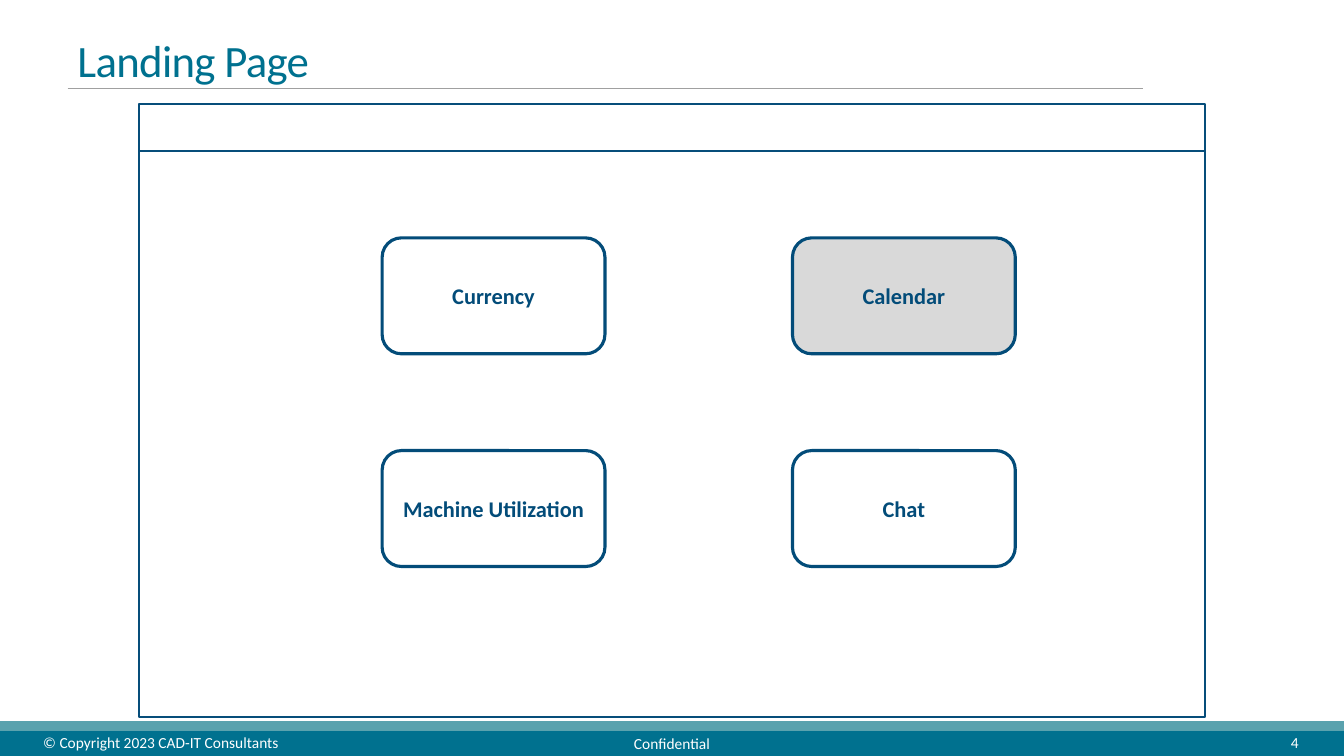
"""Build the landing page wireframe slide."""
from lxml import etree
from pptx import Presentation
from pptx.dml.color import RGBColor
from pptx.enum.shapes import MSO_CONNECTOR, MSO_SHAPE
from pptx.enum.text import MSO_ANCHOR, PP_ALIGN
from pptx.oxml.ns import qn
from pptx.util import Inches, Pt

RECTANGLE = MSO_SHAPE.RECTANGLE
ROUNDED = MSO_SHAPE.ROUNDED_RECTANGLE
STRAIGHT = MSO_CONNECTOR.STRAIGHT
MIDDLE = MSO_ANCHOR.MIDDLE
LEFT, CENTER, RIGHT = PP_ALIGN.LEFT, PP_ALIGN.CENTER, PP_ALIGN.RIGHT

FONT = "Calibri"
WIDTH, HEIGHT = 13.33, 7.5
WHITE, GREY, RULE = "FFFFFF", "D9D9D9", "A0A0A0"
TEAL, LIGHT_TEAL = "00718F", "5AA2AE"
NAVY, TILE_NAVY = "064D7A", "034C79"

WINDOW_LEFT, WINDOW_WIDTH = 1.38, 10.57
TILE_LEFT, TILE_TOP = 3.79, 2.36
TILE_WIDTH, TILE_HEIGHT = 2.21, 1.15
COLUMN_STEP, ROW_STEP = 4.07, 2.11
TILES = [
    [("Currency", WHITE), ("Calendar", GREY)],
    [("Machine Utilization", WHITE), ("Chat", WHITE)],
]


def color(code):
    """Turn a hex string into a colour."""
    return RGBColor.from_string(code)


def write(box, text, size, ink, align=LEFT, bold=False):
    """Put one vertically centred line of text in a box."""
    frame = box.text_frame
    frame.word_wrap = True
    frame.vertical_anchor = MIDDLE
    para = frame.paragraphs[0]
    para.text = text
    para.alignment = align
    para.font.name = FONT
    para.font.size = Pt(size)
    para.font.bold = bold
    para.font.color.rgb = color(ink)
    return para


def add_panel(page, place, fill, line, weight=1.25, kind=RECTANGLE):
    """Draw a filled and outlined shape."""
    panel = page.shapes.add_shape(kind, *map(Inches, place))
    panel.shadow.inherit = False
    panel.fill.solid()
    panel.fill.fore_color.rgb = color(fill)
    panel.line.color.rgb = color(line)
    panel.line.width = Pt(weight)
    return panel


def add_label(page, place, text, size, ink, align=LEFT):
    """Add a text box holding one line."""
    box = page.shapes.add_textbox(*map(Inches, place))
    return write(box, text, size, ink, align)


def add_rule(page, left, right, top):
    """Draw the thin line below the title."""
    ends = map(Inches, (left, top, right, top))
    rule = page.shapes.add_connector(STRAIGHT, *ends)
    rule.line.color.rgb = color(RULE)
    rule.line.width = Pt(0.5)
    etree.SubElement(rule.element.spPr, qn("a:effectLst"))


def add_title(page, text):
    """Add the slide title with slightly tightened letters."""
    para = add_label(page, (0.67, 0.24, 10.67, 0.78), text, 32, TEAL)
    para.line_spacing = 0.85
    para.runs[0].font._element.set("spc", "-50")


def add_footer(page):
    """Draw the footer bands and their three labels."""
    add_panel(page, (0, 7.24, WIDTH, HEIGHT - 7.24), TEAL, TEAL)
    add_panel(page, (0, 7.16, WIDTH, 0.08), LIGHT_TEAL, LIGHT_TEAL)
    for place, text, align in (
        ((0.33, 7.21, 2.7, 0.31), "© Copyright 2023 CAD-IT Consultants", LEFT),
        ((4.03, 7.26, 5.27, 0.23), "Confidential", CENTER),
        ((11.55, 7.21, 1.43, 0.31), "4", RIGHT),
    ):
        add_label(page, place, text, 11, WHITE, align)


def add_window(page):
    """Draw the window outline with its header bar."""
    for top, height in ((1.03, 0.47), (1.5, 5.61)):
        add_panel(page, (WINDOW_LEFT, top, WINDOW_WIDTH, height), WHITE, NAVY)


def add_tiles(page):
    """Lay the menu tiles out on a grid."""
    for row, tiles in enumerate(TILES):
        for column, (text, fill) in enumerate(tiles):
            place = (TILE_LEFT + column * COLUMN_STEP,
                     TILE_TOP + row * ROW_STEP, TILE_WIDTH, TILE_HEIGHT)
            tile = add_panel(page, place, fill, TILE_NAVY, 2.25, ROUNDED)
            write(tile, text, 16, TILE_NAVY, CENTER, bold=True)


def main():
    """Build and save the deck."""
    deck = Presentation()
    deck.slide_width, deck.slide_height = Inches(WIDTH), Inches(HEIGHT)
    page = deck.slides.add_slide(deck.slide_layouts[6])
    add_rule(page, 0.67, 11.34, 0.88)
    add_footer(page)
    add_title(page, "Landing Page")
    add_window(page)
    add_tiles(page)
    deck.save("out.pptx")


if __name__ == "__main__":
    main()
